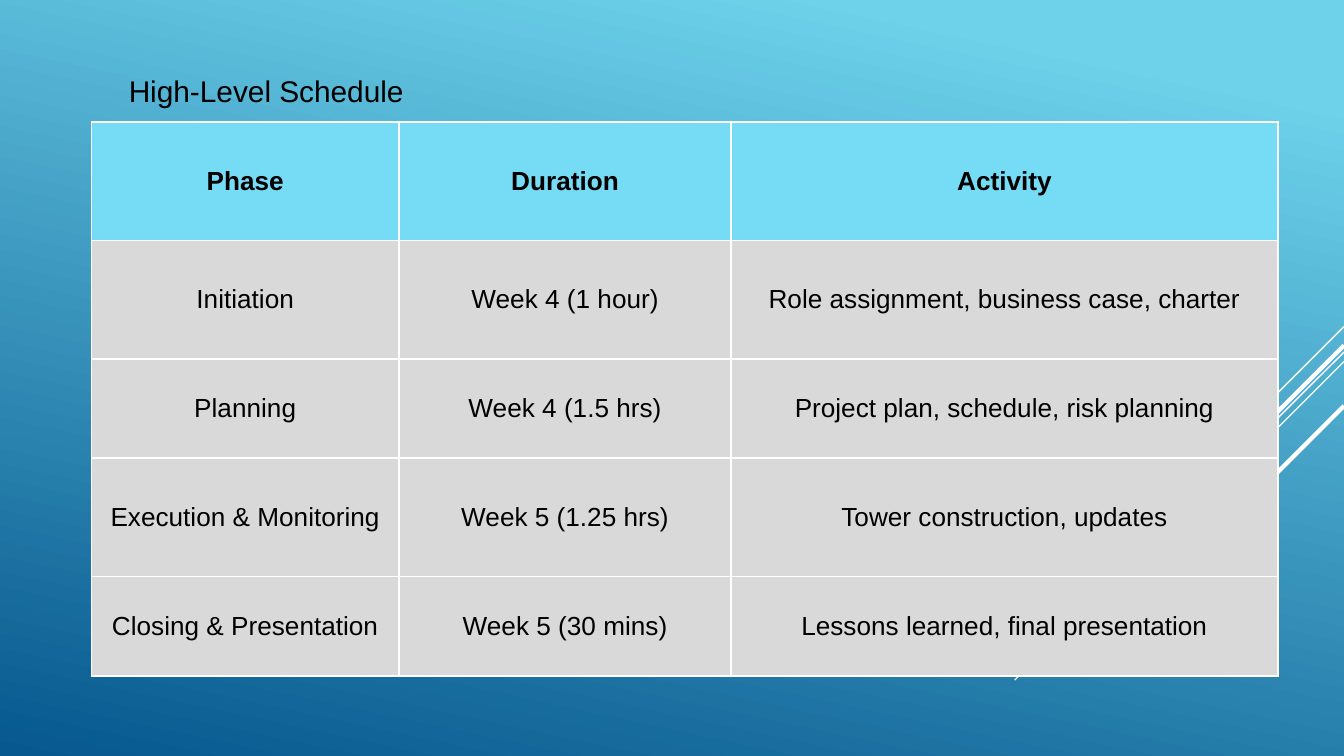
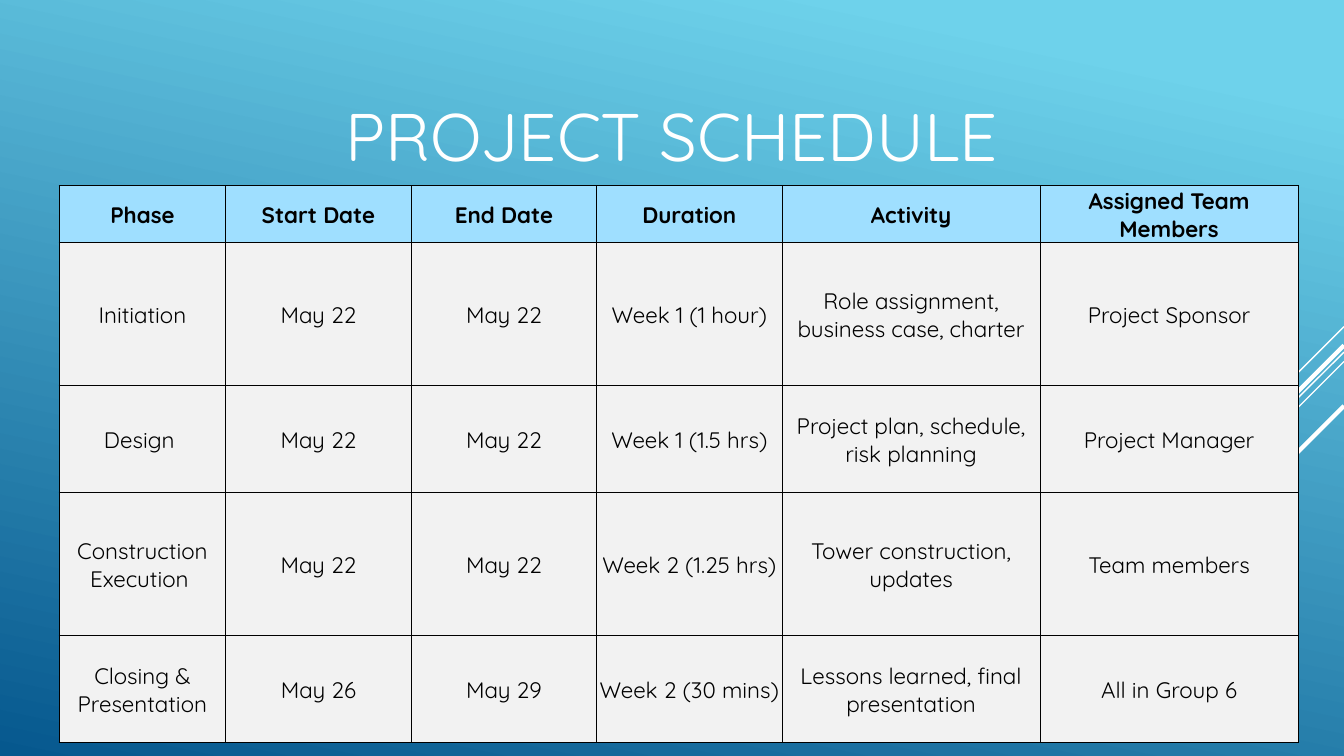
from dataclasses import dataclass
from lxml.etree import SubElement
from pptx import Presentation
from pptx.dml.color import RGBColor
from pptx.enum.shapes import MSO_CONNECTOR
from pptx.enum.text import MSO_ANCHOR, PP_ALIGN
from pptx.oxml import parse_xml
from pptx.oxml.ns import nsdecls, qn
from pptx.util import Inches, Pt


@dataclass(frozen=True)
class Theme:
    sky: str = "6ED2EB"
    deep: str = "06588E"
    white: str = "FFFFFF"
    black: str = "000000"
    overview_header: str = "76DBF4"
    overview_body: str = "D9D9D9"
    detail_header: str = "9FDFFF"
    detail_body: str = "F2F2F2"
    overview_font: str = "Arial"
    detail_font: str = "Quicksand"
    overview_title_size: int = 16
    detail_title_size: int = 36
    overview_cell_size: int = 14
    detail_cell_size: int = 12


theme = Theme()

stripes = [
    (2.43, 9.25, 3.18, 0.75),
    (2.62, 7.55, 5.06, 0.75),
    (2.69, 8.44, 4.25, 0.75),
    (2.57, 8.57, 4.00, 2.25),
    (3.02, 8.96, 4.06, 2.25),
]

schedules = [
    {
        "title": "High-Level Schedule",
        "title_box": (0.86, 0.49, 5.58, 0.37),
        "title_margin": 0.05,
        "title_size": theme.overview_title_size,
        "title_color": theme.black,
        "title_align": PP_ALIGN.LEFT,
        "font": theme.overview_font,
        "cell_size": theme.overview_cell_size,
        "header_fill": theme.overview_header,
        "body_fill": theme.overview_body,
        "border": (theme.white, 1),
        "cell_margin": 0,
        "origin": (0.68, 0.91),
        "columns": [2.29, 2.47, 4.07],
        "rows": [0.88, 0.88, 0.74, 0.88, 0.74],
        "cells": [
            ["Phase", "Duration", "Activity"],
            ["Initiation", "Week 4 (1 hour)", "Role assignment, business case, charter"],
            ["Planning", "Week 4 (1.5 hrs)", "Project plan, schedule, risk planning"],
            ["Execution & Monitoring", "Week 5 (1.25 hrs)", "Tower construction, updates"],
            ["Closing & Presentation", "Week 5 (30 mins)", "Lessons learned, final presentation"],
        ],
    },
    {
        "title": "PROJECT SCHEDULE",
        "title_box": (0.78, 0.6, 8.44, 0.63),
        "title_margin": 0.1,
        "title_size": theme.detail_title_size,
        "title_color": theme.white,
        "title_align": PP_ALIGN.CENTER,
        "font": theme.detail_font,
        "cell_size": theme.detail_cell_size,
        "header_fill": theme.detail_header,
        "body_fill": theme.detail_body,
        "border": (theme.black, 0.5),
        "cell_margin": 0.01,
        "origin": (0.44, 1.38),
        "columns": [1.24, 1.38, 1.38, 1.38, 1.92, 1.92],
        "rows": [0.42, 1.06, 0.8, 1.06, 0.8],
        "cells": [
            ["Phase", "Start Date", "End Date", "Duration", "Activity", "Assigned Team Members"],
            ["Initiation", "May 22", "May 22", "Week 1 (1 hour)",
             "Role assignment, business case, charter", "Project Sponsor"],
            ["Design ", "May 22", "May 22", "Week 1 (1.5 hrs)",
             "Project plan, schedule, risk planning", "Project Manager"],
            ["Construction Execution ", "May 22", "May 22", "Week 2 (1.25 hrs)",
             "Tower construction, updates", "Team members"],
            ["Closing & Presentation", "May 26", "May 29", "Week 2 (30 mins)",
             "Lessons learned, final presentation", "All in Group 6"],
        ],
    },
]


def style_paragraph(paragraph, font_name, size, color, align, bold=False):
    paragraph.alignment = align
    for run in paragraph.runs:
        run.font.name = font_name
        run.font.size = Pt(size)
        run.font.bold = bold
        run.font.color.rgb = RGBColor.from_string(color)


def set_borders(cell, color, width):
    properties = cell._tc.get_or_add_tcPr()
    for position, side in enumerate(["lnL", "lnR", "lnT", "lnB"]):
        properties.insert(position, parse_xml(
            f'<a:{side} {nsdecls("a")} w="{Pt(width)}"><a:solidFill>'
            f'<a:srgbClr val="{color}"/></a:solidFill></a:{side}>'
        ))


presentation = Presentation()
presentation.slide_width = Inches(10)
presentation.slide_height = Inches(10 * 9 / 16)

for schedule in schedules:
    slide = presentation.slides.add_slide(presentation.slide_layouts[6])

    background = slide.background.fill
    background.gradient()
    background.gradient_angle = 258
    for stop, position, color in zip(background.gradient_stops, [0.1, 1], [theme.sky, theme.deep]):
        stop.position = position
        stop.color.rgb = RGBColor.from_string(color)

    for start_top, end_left, end_top, width in stripes:
        stripe = slide.shapes.add_connector(
            MSO_CONNECTOR.STRAIGHT, Inches(10), Inches(start_top), Inches(end_left), Inches(end_top)
        )
        stripe.line.color.rgb = RGBColor.from_string(theme.white)
        stripe.line.width = Pt(width)
        SubElement(stripe._element.spPr, qn("a:effectLst"))

    left, top = schedule["origin"]
    columns, rows = schedule["columns"], schedule["rows"]
    table = slide.shapes.add_table(
        len(rows), len(columns), Inches(left), Inches(top), Inches(sum(columns)), Inches(sum(rows))
    ).table
    table.horz_banding = False
    for column, width in zip(table.columns, columns):
        column.width = Inches(width)
    for row, height in zip(table.rows, rows):
        row.height = Inches(height)

    margin = Inches(schedule["cell_margin"])
    for row_index, texts in enumerate(schedule["cells"]):
        is_header = row_index == 0
        fill_color = schedule["header_fill"] if is_header else schedule["body_fill"]
        for column_index, text in enumerate(texts):
            cell = table.cell(row_index, column_index)
            cell.text_frame.text = text
            cell.vertical_anchor = MSO_ANCHOR.MIDDLE
            cell.margin_left = cell.margin_right = cell.margin_top = margin
            cell.margin_bottom = 0
            cell.fill.solid()
            cell.fill.fore_color.rgb = RGBColor.from_string(fill_color)
            set_borders(cell, *schedule["border"])
            style_paragraph(cell.text_frame.paragraphs[0], schedule["font"], schedule["cell_size"],
                            theme.black, PP_ALIGN.CENTER, is_header)

    title = slide.shapes.add_textbox(*[Inches(length) for length in schedule["title_box"]])
    title_frame = title.text_frame
    title_frame.word_wrap = True
    title_frame.margin_top = title_frame.margin_bottom = Inches(schedule["title_margin"])
    title_frame.text = schedule["title"]
    style_paragraph(title_frame.paragraphs[0], schedule["font"], schedule["title_size"],
                    schedule["title_color"], schedule["title_align"])

presentation.save("out.pptx")
